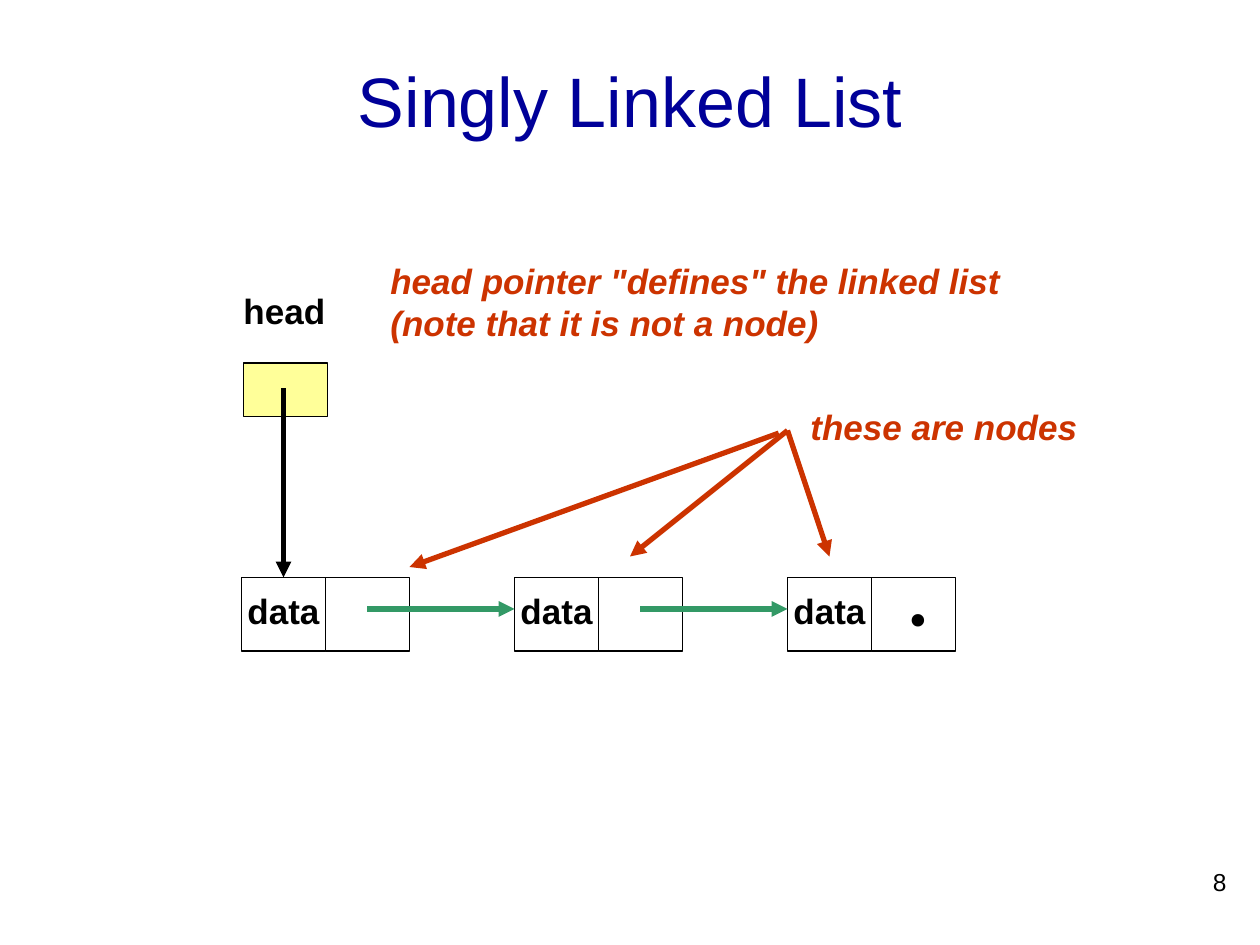
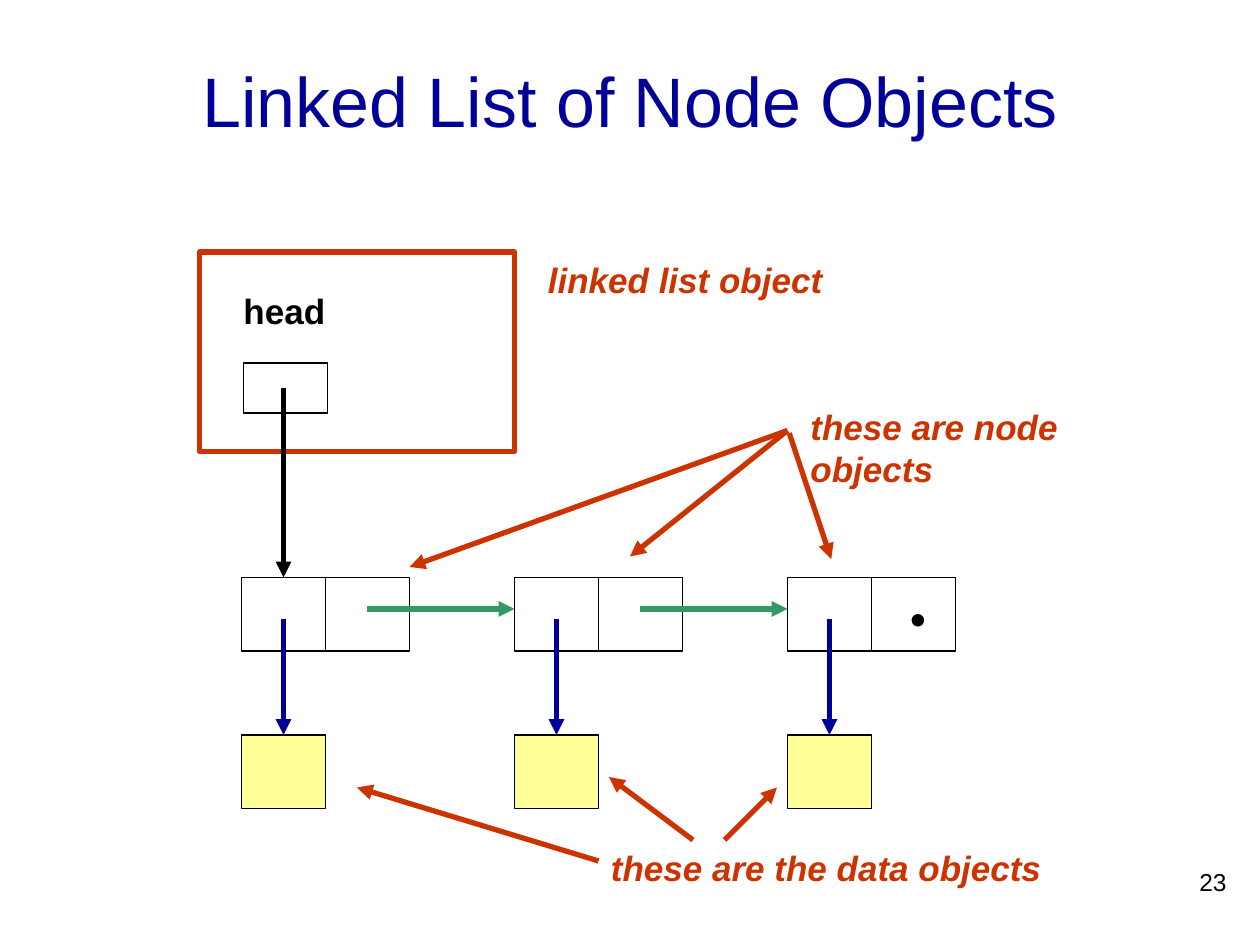
"""Build two slides that explain singly linked lists and their node objects."""
from dataclasses import dataclass
from typing import Optional

from lxml import etree
from pptx import Presentation
from pptx.dml.color import RGBColor
from pptx.enum.shapes import MSO_CONNECTOR, MSO_SHAPE
from pptx.enum.text import MSO_ANCHOR, MSO_AUTO_SIZE, PP_ALIGN
from pptx.oxml.ns import qn
from pptx.util import Pt

NAVY, RUST, GREEN, YELLOW, BLACK = "000099", "CC3300", "339966", "FFFF99", "000000"
SANS, SERIF = "Arial", "Times New Roman"
NODE_LEFTS = [138 + 156 * position for position in range(3)]
CELL_WIDTH, CELL_HEIGHT = 48, 42
NODE_TOP, OBJECT_TOP = 330, 420
LINK_Y = 348
NOTE_TIP = (450, 246)


@dataclass(frozen=True)
class Cell:
    left: float
    top: float
    width: float = CELL_WIDTH
    height: float = CELL_HEIGHT
    fill: Optional[str] = None
    outline: str = BLACK
    weight: float = 0.75
    word: str = ""


@dataclass(frozen=True)
class Arrow:
    start: tuple[float, float]
    end: tuple[float, float]
    colour: str = RUST


@dataclass(frozen=True)
class Label:
    lines: tuple[str, ...]
    left: float
    top: float
    width: float
    height: float = 32
    colour: str = RUST
    size: float = 20
    font: str = SANS
    bold: bool = True
    italic: bool = True
    align: PP_ALIGN = PP_ALIGN.LEFT


def paint(colour: str) -> RGBColor:
    """Turn a hex string into a colour."""
    return RGBColor.from_string(colour)


def write(paragraph, text: str, size: float, colour: str, font: str = SANS,
          bold: bool = False, italic: bool = False,
          align: PP_ALIGN = PP_ALIGN.CENTER) -> None:
    """Add one formatted run to a paragraph."""
    paragraph.alignment = align
    run = paragraph.add_run()
    run.text = text
    run.font.size = Pt(size)
    run.font.name = font
    run.font.bold = bold
    run.font.italic = italic
    run.font.color.rgb = paint(colour)


def draw_cell(slide, cell: Cell) -> None:
    """Draw a rectangle, with a centred word if it has one."""
    box = slide.shapes.add_shape(MSO_SHAPE.RECTANGLE, Pt(cell.left), Pt(cell.top),
                                 Pt(cell.width), Pt(cell.height))
    box.shadow.inherit = False
    if cell.fill:
        box.fill.solid()
        box.fill.fore_color.rgb = paint(cell.fill)
    else:
        box.fill.background()
    box.line.color.rgb = paint(cell.outline)
    box.line.width = Pt(cell.weight)
    if cell.word:
        frame = box.text_frame
        frame.word_wrap = False
        frame.vertical_anchor = MSO_ANCHOR.MIDDLE
        frame.margin_left = frame.margin_right = frame.margin_top = Pt(0)
        frame.margin_bottom = Pt(4)
        write(frame.paragraphs[0], cell.word, 20, BLACK, bold=True)


def draw_arrow(slide, arrow: Arrow) -> None:
    """Draw a thick line with a triangle at its end."""
    line = slide.shapes.add_connector(MSO_CONNECTOR.STRAIGHT,
                                      *map(Pt, arrow.start + arrow.end))
    line.line.color.rgb = paint(arrow.colour)
    line.line.width = Pt(3)
    etree.SubElement(line.line._get_or_add_ln(), qn("a:tailEnd"), type="triangle")
    etree.SubElement(line._element.spPr, qn("a:effectLst"))


def draw_label(slide, label: Label) -> None:
    """Draw a text box with one paragraph for each line."""
    box = slide.shapes.add_textbox(Pt(label.left), Pt(label.top),
                                   Pt(label.width), Pt(label.height))
    frame = box.text_frame
    frame.word_wrap = True
    for number, text in enumerate(label.lines):
        paragraph = frame.add_paragraph() if number else frame.paragraphs[0]
        write(paragraph, text, label.size, label.colour, label.font,
              label.bold, label.italic, label.align)


def draw_title(slide, text: str) -> None:
    """Place and fill the title placeholder."""
    title = slide.shapes.title
    title.left, title.top, title.width, title.height = map(Pt, (54, 12, 612, 90))
    frame = title.text_frame
    frame.auto_size = MSO_AUTO_SIZE.NONE
    frame.vertical_anchor = MSO_ANCHOR.MIDDLE
    write(frame.paragraphs[0], text, 40, NAVY)


def draw_list(slide, word: str = "") -> None:
    """Draw the head pointer, the three nodes, their links and the end mark."""
    for left in NODE_LEFTS:
        draw_cell(slide, Cell(left + CELL_WIDTH, NODE_TOP))
        draw_cell(slide, Cell(left, NODE_TOP, word=word))
    draw_arrow(slide, Arrow((162, 222), (162, NODE_TOP), BLACK))
    for left, following in zip(NODE_LEFTS, NODE_LEFTS[1:]):
        draw_arrow(slide, Arrow((left + 72, LINK_Y), (following, LINK_Y), GREEN))
    draw_label(slide, Label((".",), 510, 294, 24, 79, BLACK, 60, SERIF, False, False))
    draw_label(slide, Label(("head",), 132, 162, 84, colour=BLACK, italic=False))


def add_list_slide(deck, title: str, number: str, cells: list[Cell],
                   arrows: list[Arrow], labels: list[Label], word: str = "") -> None:
    """Add a slide with the shared list and its own cells, arrows and labels."""
    slide = deck.slides.add_slide(deck.slide_layouts[5])
    draw_title(slide, title)
    for cell in cells:
        draw_cell(slide, cell)
    draw_list(slide, word)
    for arrow in arrows:
        draw_arrow(slide, arrow)
    for label in labels:
        draw_label(slide, label)
    draw_label(slide, Label((number,), 558, 492, 150, 36, BLACK, 14,
                            bold=False, italic=False, align=PP_ALIGN.RIGHT))


def main() -> None:
    """Build and save the deck."""
    deck = Presentation()
    deck.slide_width, deck.slide_height = Pt(720), Pt(540)
    add_list_slide(
        deck, "Singly Linked List", "8",
        cells=[Cell(139, 207.5, height=30.5, fill=YELLOW)],
        arrows=[Arrow((445, 247.5), (234, 324)),
                Arrow(NOTE_TIP, (360, 318)),
                Arrow(NOTE_TIP, (474, 318))],
        labels=[Label(("these are nodes",), 456, 228, 187),
                Label(('head pointer "defines" the linked list',
                       "(note that it is not a node)"), 216, 144.5, 380, 55)],
        word="data",
    )
    add_list_slide(
        deck, "Linked List of Node Objects", "23",
        cells=[Cell(114, 144, 180, 114, outline=RUST, weight=3),
               Cell(139, 207.5, height=28.5),
               *(Cell(left, OBJECT_TOP, fill=YELLOW) for left in NODE_LEFTS)],
        arrows=[*(Arrow((left + 24, 354), (left + 24, OBJECT_TOP), NAVY)
                  for left in NODE_LEFTS),
                Arrow(NOTE_TIP, (234, 324)),
                Arrow(NOTE_TIP, (360, 318)),
                Arrow((451, 247.5), (475, 319.5)),
                Arrow((414, 480), (444, 450)),
                Arrow((396, 480), (348, 444)),
                Arrow((342, 492), (204, 450))],
        labels=[Label(("linked list object",), 306, 144, 204),
                Label(("these are node objects",), 456, 228, 162, 55),
                Label(("these are the data objects",), 342, 480, 294)],
    )
    deck.save("out.pptx")


if __name__ == "__main__":
    main()
